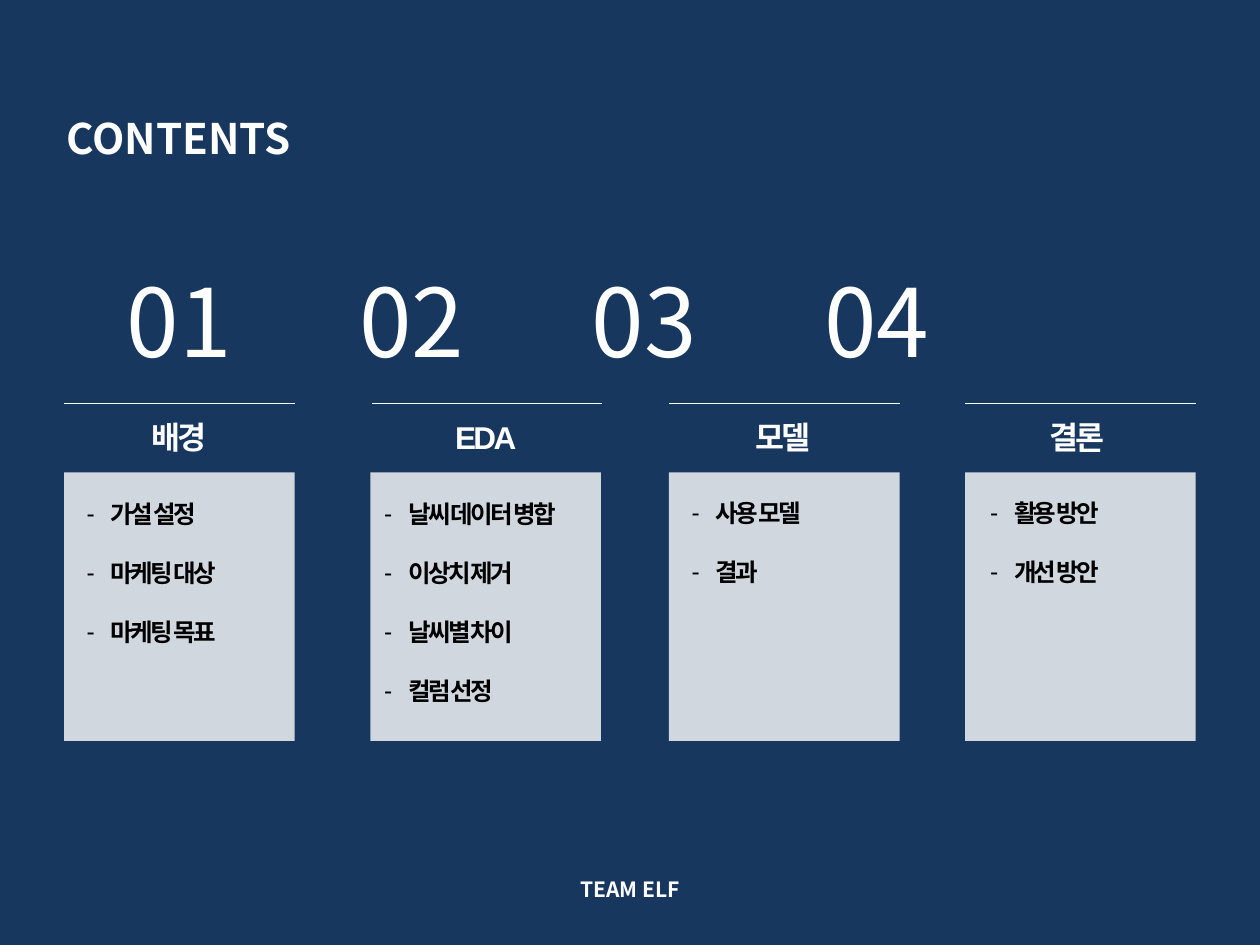
from dataclasses import dataclass

from lxml import etree
from pptx import Presentation
from pptx.dml.color import RGBColor
from pptx.enum.shapes import MSO_CONNECTOR, MSO_SHAPE
from pptx.enum.text import PP_ALIGN
from pptx.oxml.ns import qn
from pptx.util import Inches, Pt

NAVY = RGBColor(0x17, 0x37, 0x5E)
WHITE = RGBColor(0xFF, 0xFF, 0xFF)
BLACK = RGBColor(0x00, 0x00, 0x00)
LEFT, CENTER = PP_ALIGN.LEFT, PP_ALIGN.CENTER
RECTANGLE, STRAIGHT = MSO_SHAPE.RECTANGLE, MSO_CONNECTOR.STRAIGHT

SANS = "Noto Sans CJK KR"
ARIAL = "Arial"

CARD_WIDTH, CARD_HEIGHT = 1.83, 2.13
CARD_TOP, RULE_TOP, HEADING_TOP = 3.75, 3.2, 3.28
NUMBER_PITCH = 1.844
TIGHT = -1.5
ITEM_INDENT = 0.19


@dataclass(frozen=True)
class Section:
    heading: str
    items: tuple[str, ...]
    card_left: float
    rule_left: float
    heading_left: float
    heading_width: float
    items_left: float
    items_top: float
    items_width: float


SECTIONS = (
    Section("배경", ("가설 설정", "마케팅 대상", "마케팅 목표"),
            0.51, 0.51, 0.67, 1.5, 0.59, 3.91, 1.5),
    Section("EDA", ("날씨 데이터 병합", "이상치 제거", "날씨별 차이", "컬럼 선정"),
            2.94, 2.95, 2.95, 1.81, 2.95, 3.91, 1.81),
    Section("모델", ("사용 모델", "결과"),
            5.31, 5.31, 5.31, 1.81, 5.39, 3.9, 1.5),
    Section("결론", ("활용 방안", "개선 방안"),
            7.66, 7.66, 7.52, 2.05, 7.76, 3.9, 1.5),
)


def add_dash(paragraph) -> None:
    """Give the paragraph a hanging dash bullet."""
    properties = paragraph._p.get_or_add_pPr()
    properties.set("marL", str(Inches(ITEM_INDENT)))
    properties.set("indent", str(-Inches(ITEM_INDENT)))
    etree.SubElement(properties, qn("a:buFont")).set("typeface", ARIAL)
    etree.SubElement(properties, qn("a:buChar")).set("char", "-")


def add_tab_stops(paragraph, count: int, pitch: float) -> None:
    tabs = etree.SubElement(paragraph._p.get_or_add_pPr(), qn("a:tabLst"))
    for index in range(1, count + 1):
        tab = etree.SubElement(tabs, qn("a:tab"))
        tab.set("pos", str(Inches(index * pitch)))
        tab.set("algn", "l")


def add_text(slide, text: str, left: float, top: float, width: float,
             height: float, *, size: float, line: float, font: str = SANS,
             color: RGBColor = WHITE, bold: bool = True, align=LEFT,
             tracking: float = 0, gap: float = 0, dashes: bool = False):
    """Add a text box with one paragraph per line; line and gap are in points."""
    box = slide.shapes.add_textbox(Inches(left), Inches(top),
                                   Inches(width), Inches(height))
    frame = box.text_frame
    frame.word_wrap = True
    frame.text = text
    for paragraph in frame.paragraphs:
        paragraph.alignment = align
        paragraph.line_spacing = Pt(line)
        paragraph.space_after = Pt(gap)
        if dashes:
            add_dash(paragraph)
        for run in paragraph.runs:
            run.font.name = font
            run.font.size = Pt(size)
            run.font.bold = bold
            run.font.color.rgb = color
            properties = run._r.get_or_add_rPr()
            etree.SubElement(properties, qn("a:ea")).set("typeface", font)
            if tracking:
                properties.set("spc", str(int(tracking * 100)))
    return frame


def add_card(slide, left: float) -> None:
    card = slide.shapes.add_shape(RECTANGLE, Inches(left), Inches(CARD_TOP),
                                  Inches(CARD_WIDTH), Inches(CARD_HEIGHT))
    card.shadow.inherit = False
    card.line.fill.background()
    card.fill.solid()
    card.fill.fore_color.rgb = WHITE
    color = card._element.spPr.find(qn("a:solidFill"))[0]
    etree.SubElement(color, qn("a:alpha")).set("val", "80000")


def add_rule(slide, left: float) -> None:
    rule = slide.shapes.add_connector(
        STRAIGHT, Inches(left), Inches(RULE_TOP),
        Inches(left + CARD_WIDTH), Inches(RULE_TOP))
    rule.line.color.rgb = WHITE
    rule.line.width = Pt(0.75)
    etree.SubElement(rule._element.spPr, qn("a:effectLst"))


def add_section(slide, section: Section) -> None:
    add_rule(slide, section.rule_left)
    add_card(slide, section.card_left)
    add_text(slide, section.heading, section.heading_left, HEADING_TOP,
             section.heading_width, 0.4, size=18, line=21, font=ARIAL,
             align=CENTER, tracking=TIGHT)
    add_text(slide, "\n".join(section.items), section.items_left,
             section.items_top, section.items_width, 1.73, size=14, line=17,
             color=BLACK, tracking=TIGHT, gap=16.7, dashes=True)


def main() -> None:
    deck = Presentation()
    deck.slide_width, deck.slide_height = Inches(10), Inches(7.5)
    slide = deck.slides.add_slide(deck.slide_layouts[6])
    slide.background.fill.solid()
    slide.background.fill.fore_color.rgb = NAVY

    add_text(slide, "CONTENTS", 0.43, 0.81, 4.57, 0.49, size=24, line=31)
    numbers = [f"{number:02}" for number in range(1, len(SECTIONS) + 1)]
    number_row = add_text(slide, "\t".join(numbers), 0.91, 1.98, 8.66, 0.99,
                          size=54, line=69, bold=False)
    add_tab_stops(number_row.paragraphs[0], len(numbers) - 1, NUMBER_PITCH)
    for section in SECTIONS:
        add_section(slide, section)
    add_text(slide, "TEAM ELF", 3.03, 6.9, 3.94, 0.3, size=12, line=15,
             align=CENTER)

    deck.save("out.pptx")


if __name__ == "__main__":
    main()
